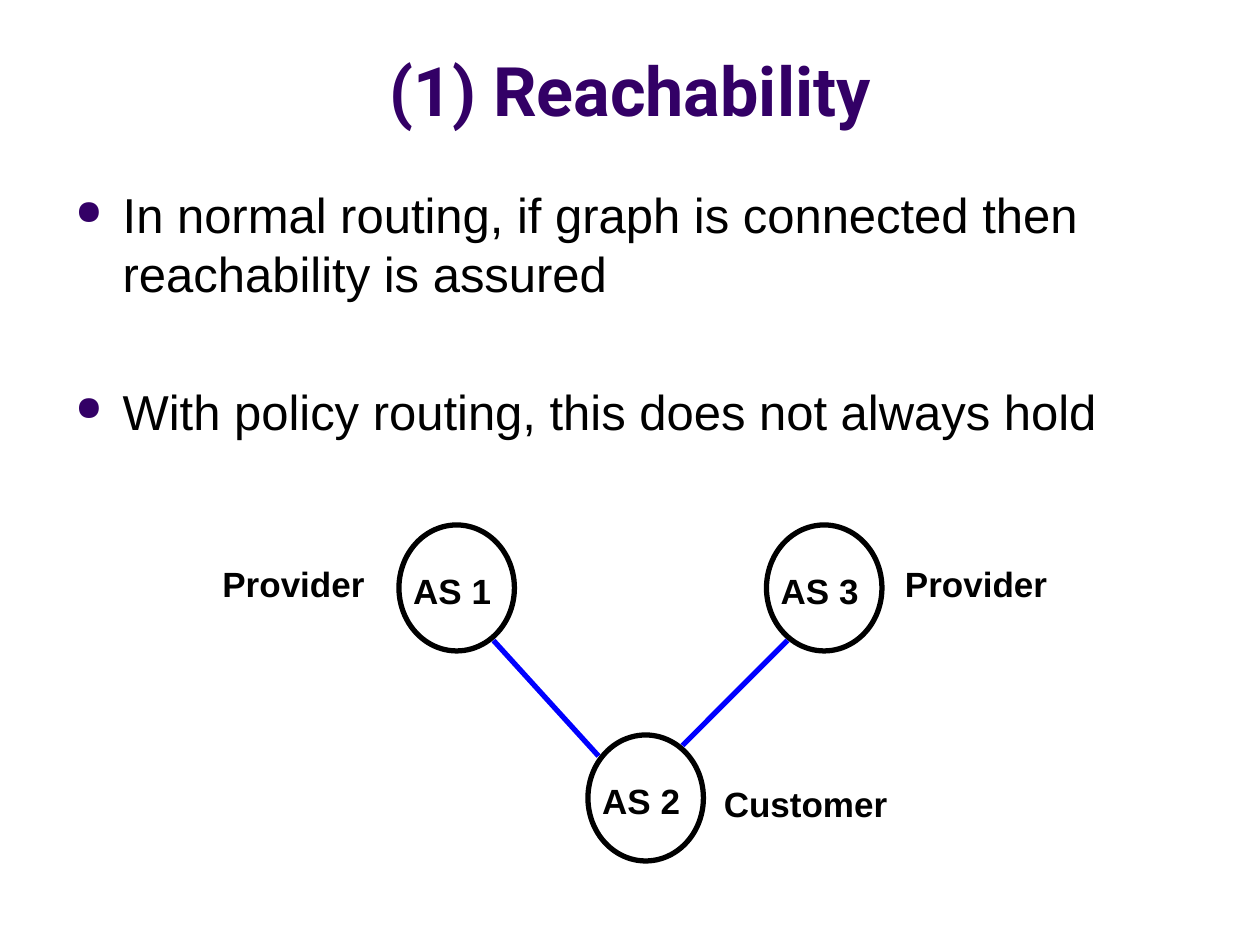
from dataclasses import dataclass

from lxml.etree import SubElement
from pptx import Presentation
from pptx.dml.color import RGBColor
from pptx.enum.shapes import MSO_CONNECTOR, MSO_SHAPE
from pptx.enum.text import MSO_ANCHOR, PP_ALIGN
from pptx.oxml.ns import qn
from pptx.util import Pt


@dataclass(frozen=True)
class Theme:
    """Colours, fonts and sizes of the slide."""
    purple: RGBColor = RGBColor(0x33, 0x00, 0x66)
    black: RGBColor = RGBColor(0, 0, 0)
    blue: RGBColor = RGBColor(0, 0, 0xFF)
    title_font: str = "Roboto"
    body_font: str = "Arial"
    title_size: float = 39
    body_size: float = 28
    label_size: float = 20
    stroke: float = 3


@dataclass(frozen=True)
class Node:
    """An autonomous system, with its role written beside it."""
    name: str
    left: float
    top: float
    role: str
    role_left: float
    role_top: float
    role_width: float


@dataclass(frozen=True)
class Link:
    """A straight link between two points."""
    x1: float
    y1: float
    x2: float
    y2: float


THEME = Theme()
NODE_W, NODE_H = 66, 72
LABEL_H = 31
TITLE = dict(name=THEME.title_font, size=Pt(THEME.title_size), bold=True)
BODY = dict(name=THEME.body_font, size=Pt(THEME.body_size))
LABEL = dict(name=THEME.body_font, size=Pt(THEME.label_size), bold=True)

BULLETS = [
    ("In normal routing, if graph is connected then reachability is assured", 6),
    ("With policy routing, this does not always hold", 45),
]
NODES = [
    Node("AS 1", 228, 300, "Provider", 120, 318, 96),
    Node("AS 2", 336, 420, "Customer", 406.5, 443.5, 109.5),
    Node("AS 3", 438, 300, "Provider", 510, 318, 96),
]
LINKS = [Link(390, 426, 450, 366), Link(342, 432, 282, 366)]


def add_run(p, text: str, font: dict, color: RGBColor) -> None:
    """Add a run and set its font from a dict."""
    r = p.add_run()
    r.text = text
    for key, value in font.items():
        setattr(r.font, key, value)
    r.font.color.rgb = color


def add_frame(s, left: float, top: float, width: float, height: float, **props):
    """Add a text box and return its text frame."""
    tf = s.shapes.add_textbox(Pt(left), Pt(top), Pt(width), Pt(height)).text_frame
    for key, value in props.items():
        setattr(tf, key, value)
    return tf


def add_title(s, text: str) -> None:
    """Add the centred title."""
    tf = add_frame(s, 0, 9.5, 720, 68.5, word_wrap=True,
                   vertical_anchor=MSO_ANCHOR.BOTTOM)
    p = tf.paragraphs[0]
    p.alignment = PP_ALIGN.CENTER
    add_run(p, text, TITLE, THEME.purple)


def add_bullets(s) -> None:
    """Add the bulleted statements with hanging indents."""
    tf = add_frame(s, 36, 102, 672, 381, word_wrap=True)
    for i, (text, gap) in enumerate(BULLETS):
        p = tf.add_paragraph() if i else tf.paragraphs[0]
        p.space_before = Pt(gap)
        pPr = p._p.get_or_add_pPr()
        pPr.set("marL", str(Pt(27)))
        pPr.set("indent", str(-Pt(27)))
        color = SubElement(pPr, qn("a:buClr"))
        SubElement(color, qn("a:srgbClr")).set("val", str(THEME.purple))
        SubElement(pPr, qn("a:buSzPct")).set("val", "70000")
        SubElement(pPr, qn("a:buChar")).set("char", "●")
        add_run(p, text, BODY, THEME.black)


def add_label(s, text: str, left: float, top: float, width: float) -> None:
    """Add a bold one-line label."""
    tf = add_frame(s, left, top, width, LABEL_H, word_wrap=False,
                   vertical_anchor=MSO_ANCHOR.MIDDLE)
    add_run(tf.paragraphs[0], text, LABEL, THEME.black)


def add_node(s, node: Node) -> None:
    """Add the ellipse of a node, its name and its role."""
    sp = s.shapes.add_shape(MSO_SHAPE.OVAL, Pt(node.left), Pt(node.top),
                            Pt(NODE_W), Pt(NODE_H))
    sp.shadow.inherit = False
    sp.fill.background()
    sp.line.color.rgb = THEME.black
    sp.line.width = Pt(THEME.stroke)
    add_label(s, node.name, node.left + 1, node.top + 22, 59)
    add_label(s, node.role, node.role_left, node.role_top, node.role_width)


def add_link(s, link: Link) -> None:
    """Add a blue link without shadow."""
    sp = s.shapes.add_connector(MSO_CONNECTOR.STRAIGHT, Pt(link.x1), Pt(link.y1),
                                Pt(link.x2), Pt(link.y2))
    sp.line.color.rgb = THEME.blue
    sp.line.width = Pt(THEME.stroke)
    SubElement(sp._element.spPr, qn("a:effectLst"))


def main() -> None:
    """Build and save the slide."""
    prs = Presentation()
    prs.slide_width, prs.slide_height = Pt(720), Pt(540)
    s = prs.slides.add_slide(prs.slide_layouts[6])
    add_title(s, "(1) Reachability")
    add_bullets(s)
    for node in NODES:
        add_node(s, node)
    for link in LINKS:
        add_link(s, link)
    prs.save("out.pptx")


main()
